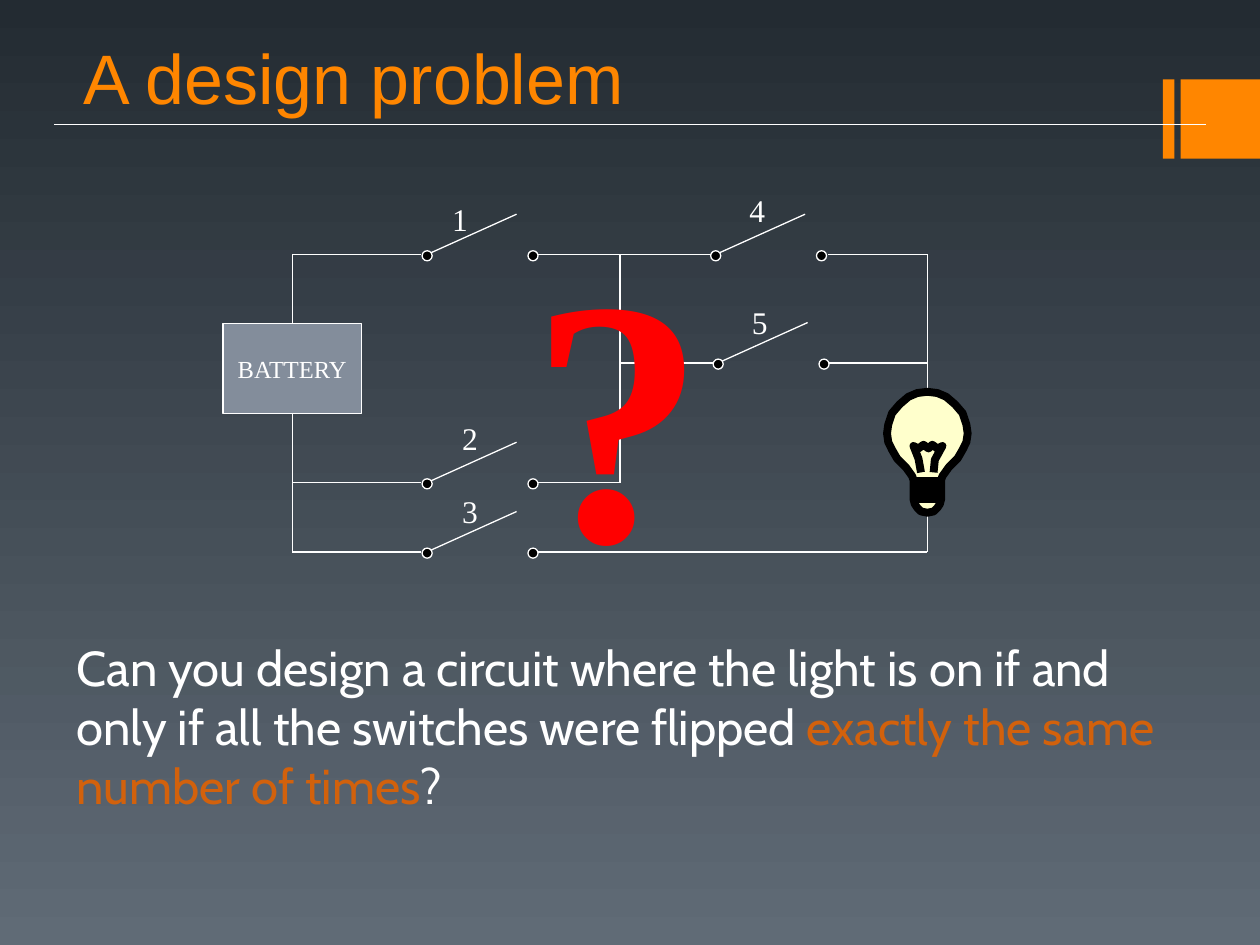
from lxml import etree
from pptx import Presentation
from pptx.dml.color import RGBColor
from pptx.enum.shapes import MSO_CONNECTOR, MSO_SHAPE
from pptx.enum.text import MSO_ANCHOR, MSO_AUTO_SIZE, PP_ALIGN
from pptx.oxml.ns import qn
from pptx.util import Inches, Pt

STRAIGHT = MSO_CONNECTOR.STRAIGHT
RECT, OVAL = MSO_SHAPE.RECTANGLE, MSO_SHAPE.OVAL
BOTTOM, MIDDLE, TOP = MSO_ANCHOR.BOTTOM, MSO_ANCHOR.MIDDLE, MSO_ANCHOR.TOP
LEFT, CENTER = PP_ALIGN.LEFT, PP_ALIGN.CENTER
NO_FIT = MSO_AUTO_SIZE.NONE

COLORS = {
    "dark": "232B32", "slate": "606B76", "orange": "FF8600",
    "rust": "D2610C", "white": "FFFFFF", "black": "000000",
    "steel": "838D9B", "glow": "FFFFCC", "red": "FF0000",
}
SERIF = "Times New Roman"

TITLE = "A design problem"
PROMPT = [
    ("Can you design a circuit where the light is on if and only if "
     "all the switches were flipped ", "white"),
    ("exactly the same number of times", "rust"),
    ("?", "white"),
]
BARS = [(9.23, 0.63, 0.09, 0.63), (9.37, 0.63, 0.63, 0.63)]
RULE = (0.43, 0.99, 9.57, 0.99)

BUS, MID, LAMP = 2.32, 4.92, 7.36
ROW_A, ROW_B, ROW_C, ROW_D = 2.02, 2.88, 3.83, 4.38
WIRES = [
    (BUS, ROW_A, 3.34, ROW_A), (4.21, ROW_A, 5.7, ROW_A),
    (6.57, ROW_A, LAMP, ROW_A), (MID, ROW_B, 5.7, ROW_B),
    (6.57, ROW_B, LAMP, ROW_B), (BUS, ROW_C, 3.34, ROW_C),
    (4.21, ROW_C, MID, ROW_C), (BUS, ROW_D, 3.34, ROW_D),
    (4.21, ROW_D, LAMP, ROW_D), (BUS, ROW_A, BUS, 2.57),
    (BUS, 3.28, BUS, ROW_D), (MID, ROW_A, MID, ROW_C),
    (LAMP, ROW_A, LAMP, ROW_D),
]
SWITCHES = [
    ("1", 3.35, ROW_A, 3.49, 1.54),
    ("2", 3.35, ROW_C, 3.57, 3.28),
    ("3", 3.35, ROW_D, 3.57, 3.86),
    ("4", 5.64, ROW_A, 5.85, 1.47),
    ("5", 5.66, ROW_B, 5.87, 2.36),
]
DOT, GAP = 0.08, 0.84

UNIT = 100
HALF = [
    (0, 4.07), (0.05, 4.06), (0.08, 4.03), (0.1, 4), (0.11, 3.96),
    (0.11, 3.81), (0.12, 3.78), (0.17, 3.71), (0.24, 3.64),
    (0.28, 3.57), (0.31, 3.51), (0.32, 3.44), (0.31, 3.37),
    (0.28, 3.28), (0.22, 3.21), (0.15, 3.15), (0.08, 3.12), (0, 3.11),
]
GLASS = [(LAMP + x, y) for x, y in HALF]
GLASS += [(LAMP - x, y) for x, y in HALF[-2:0:-1]]
COIL = [
    (7.31, 3.75), (7.29, 3.64), (7.25, 3.54), (7.29, 3.56), (7.33, 3.53),
    (7.37, 3.56), (7.4, 3.53), (7.44, 3.56), (7.48, 3.54), (7.42, 3.65),
    (7.41, 3.75),
]
SCREW = [
    (7.25, 3.82), (7.47, 3.82), (7.47, 3.86), (7.25, 3.86),
    (7.25, 3.91), (7.47, 3.91), (7.47, 3.96), (7.26, 3.96),
]


def rgb(name):
    return RGBColor.from_string(COLORS[name])


def paint(shape, fill, edge=None, width=0.75):
    shape.shadow.inherit = False
    if fill:
        shape.fill.solid()
        shape.fill.fore_color.rgb = rgb(fill)
    else:
        shape.fill.background()
    if edge:
        shape.line.color.rgb = rgb(edge)
        shape.line.width = Pt(width)
    else:
        shape.line.fill.background()


def block(slide, kind, box, fill, edge=None):
    shape = slide.shapes.add_shape(kind, *map(Inches, box))
    paint(shape, fill, edge)
    return shape


def wire(slide, ends):
    line = slide.shapes.add_connector(STRAIGHT, *map(Inches, ends))
    line.line.color.rgb = rgb("white")
    line.line.width = Pt(0.75)
    etree.SubElement(line.element.spPr, qn("a:effectLst"))


def write(shape, runs, size, font, wrap=False, anchor=TOP, align=LEFT, bold=False):
    frame = shape.text_frame
    frame.auto_size = NO_FIT
    frame.word_wrap = wrap
    frame.vertical_anchor = anchor
    para = frame.paragraphs[0]
    para.alignment = align
    para.font.size = Pt(size)
    para.font.name = font
    para.font.bold = bold
    for text, color in runs:
        run = para.add_run()
        run.text = text
        run.font.color.rgb = rgb(color)


def label(slide, box, runs, size, font, **style):
    write(slide.shapes.add_textbox(*map(Inches, box)), runs, size, font, **style)


def trace(slide, lines, fill, closed):
    grid = [[(round(x * UNIT), round(y * UNIT)) for x, y in line] for line in lines]
    pen = slide.shapes.build_freeform(*grid[0][0], scale=Inches(1) / UNIT)
    for spot, *rest in grid:
        if spot != grid[0][0]:
            pen.move_to(*spot)
        pen.add_line_segments(rest, close=closed)
    paint(pen.convert_to_shape(), fill, "black", 4.5)


def switch(slide, name, x, y, left, top):
    wire(slide, (x + DOT / 2, y, x + 0.75, y - 0.32))
    for spot in (x, x + GAP):
        block(slide, OVAL, (spot, y - 0.03, DOT, DOT), "black", "white")
    label(slide, (left, top, 0.34, 0.4), [(name, "white")], 18, SERIF)


def main():
    deck = Presentation()
    deck.slide_width, deck.slide_height = Inches(10), Inches(7.5)
    slide = deck.slides.add_slide(deck.slide_layouts[5])

    back = slide.background.fill
    back.gradient()
    back.gradient_angle = 270
    for stop, color, place in zip(back.gradient_stops, ("dark", "slate"), (0, 1)):
        stop.color.rgb = rgb(color)
        stop.position = place

    for box in BARS:
        block(slide, RECT, box, "orange")
    wire(slide, RULE)

    title = slide.shapes.title
    title.left, title.top, title.width, title.height = map(Inches, (0.56, 0, 8, 0.99))
    write(title, [(TITLE, "orange")], 40, "Arial", wrap=True, anchor=BOTTOM)
    label(slide, (0.51, 5.01, 9.06, 1.5), PROMPT, 28, "Cabin", wrap=True)

    for ends in WIRES:
        wire(slide, ends)
    cell = block(slide, RECT, (1.77, 2.57, 1.1, 0.71), "steel", "white")
    write(cell, [("BATTERY", "white")], 14, SERIF, anchor=MIDDLE, align=CENTER)
    for item in SWITCHES:
        switch(slide, *item)

    trace(slide, [GLASS], "glow", True)
    trace(slide, [COIL, SCREW], None, False)
    label(slide, (4.11, 1.47, 1.73, 3.44), [("?", "red")], 200, SERIF, bold=True)
    deck.save("out.pptx")


if __name__ == "__main__":
    main()
